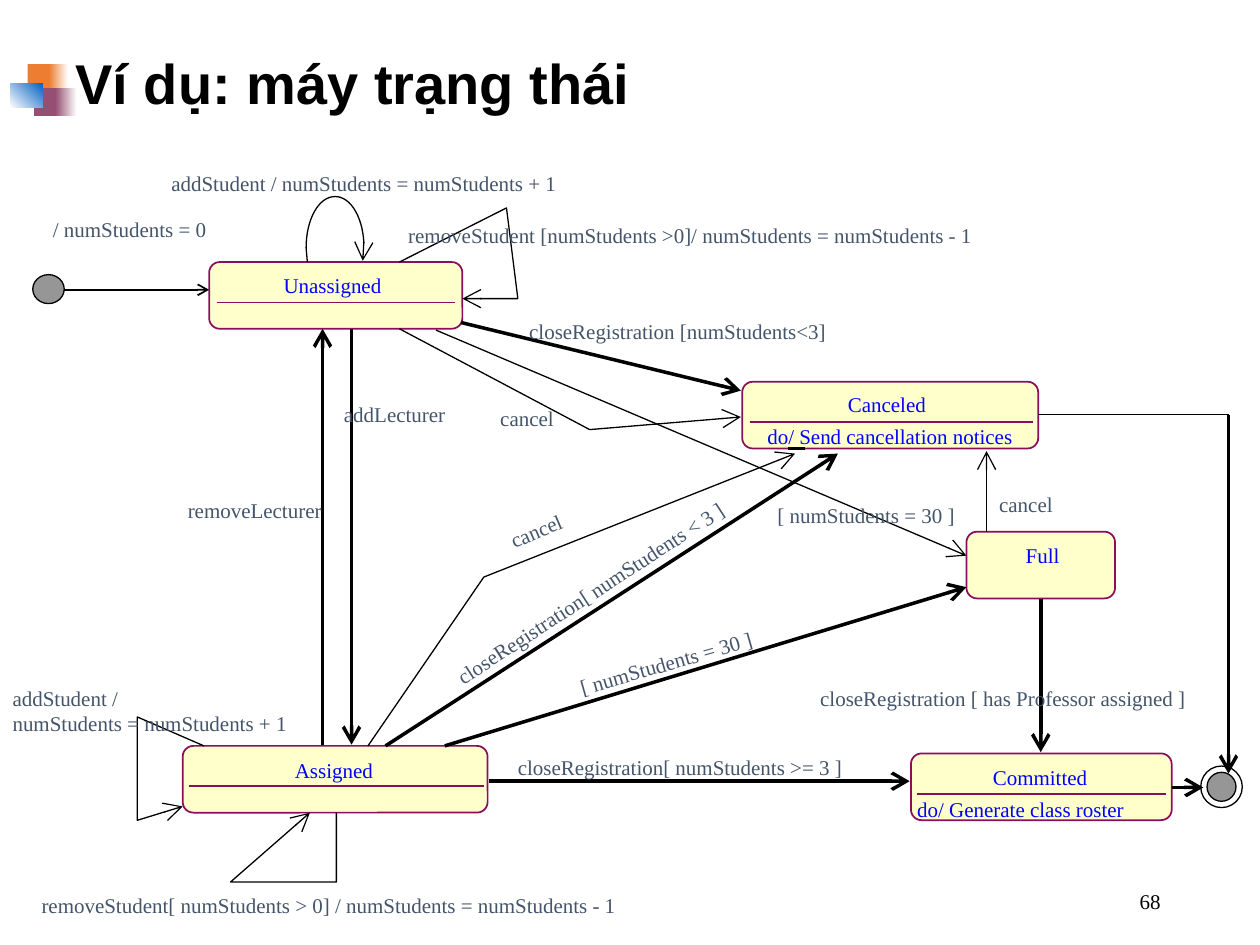
from dataclasses import dataclass
from typing import Optional

from lxml.etree import SubElement
from pptx import Presentation
from pptx.dml.color import RGBColor as RGB
from pptx.enum.shapes import MSO_CONNECTOR as CONN, MSO_SHAPE as SHAPE
from pptx.enum.text import MSO_ANCHOR as ANCHOR, MSO_AUTO_SIZE as AUTO, PP_ALIGN as ALIGN
from pptx.oxml.ns import qn
from pptx.util import Inches, Pt

Point = tuple[float, float]


@dataclass(frozen=True)
class Theme:
    ink: str = "000000"
    label: str = "44546A"
    state_text: str = "0000FF"
    state_fill: str = "FFFFCC"
    state_line: str = "8A0E5E"
    node: str = "969696"
    white: str = "FFFFFF"
    orange: str = "ED7D31"
    plum: str = "954F72"
    blue: str = "0563C1"
    title_font: str = "Arial"
    body_font: str = "Times New Roman"
    title_size: int = 32
    body_size: int = 12


@dataclass(frozen=True)
class Block:
    x: float
    y: float
    w: float
    h: float
    start: str
    end: Optional[str] = None
    angle: int = 0


@dataclass(frozen=True)
class Label:
    text: str
    x: float
    y: float
    w: float
    rotation: float = 0
    h: float = 0.2


@dataclass(frozen=True)
class State:
    name: Label
    x: float
    y: float
    w: float
    rule: Optional[tuple[float, float]] = None
    action: Optional[Label] = None


@dataclass(frozen=True)
class Transition:
    points: list[Point]
    width: float = 0
    head: str = "lg"


T = Theme()
STATE_H = 0.53
RULE_DY = 0.32


def bezier(a: Point, b: Point, c: Point, d: Point, steps: int = 16) -> list[Point]:
    def at(t: float, i: int) -> float:
        u = 1 - t
        return u**3 * a[i] + 3 * u * u * t * b[i] + 3 * u * t * t * c[i] + t**3 * d[i]

    return [(at(k / steps, 0), at(k / steps, 1)) for k in range(steps + 1)]


LOOP = [
    (2.44, 2.08),
    *bezier((2.43, 1.97), (2.43, 1.74), (2.53, 1.56), (2.66, 1.56)),
    *bezier((2.66, 1.56), (2.79, 1.56), (2.89, 1.74), (2.89, 1.97))[1:],
    (2.88, 2.07),
]

BLOCKS = [
    Block(0.22, 0.51, 0.2, 0.22, T.orange),
    Block(0.39, 0.51, 0.15, 0.22, T.orange, T.white),
    Block(0.27, 0.7, 0.19, 0.22, T.plum),
    Block(0.44, 0.7, 0.17, 0.22, T.plum, T.white),
    Block(0.08, 0.66, 0.26, 0.19, T.white, T.blue, 45),
]

STATES = [
    State(Label("Unassigned", 2.25, 2.16, 0.78), 1.66, 2.08, 2.01, (1.72, 3.61)),
    State(Label("Assigned", 2.34, 6.01, 0.65), 1.45, 5.92, 2.42, (1.5, 3.84)),
    State(Label("Full", 8.14, 4.31, 0.27), 7.67, 4.22, 1.18),
    State(Label("Canceled", 6.73, 3.11, 0.63), 5.89, 3.03, 2.35, (5.95, 8.2),
          Label("do/ Send cancellation notices", 6.09, 3.36, 1.97)),
    State(Label("Committed", 7.88, 6.07, 0.76), 7.23, 5.98, 2.07, (7.28, 9.25),
          Label("do/ Generate class roster", 7.28, 6.32, 1.66)),
]

TRANSITIONS = [
    Transition([(9.3, 6.25), (9.55, 6.25)]),
    Transition([(9.75, 3.29), (9.75, 6.14)]),
    Transition([(8.26, 4.75), (8.26, 5.97)]),
    Transition(LOOP),
    Transition([(2.79, 2.61), (2.79, 5.91)]),
    Transition([(3.66, 2.56), (5.88, 3.1)]),
    Transition([(3.17, 2.08), (4.02, 1.65), (4.11, 2.37), (3.67, 2.37)]),
    Transition([(3.17, 2.61), (4.68, 3.41), (5.88, 3.31)]),
    Transition([(2.56, 5.91), (2.56, 2.61)]),
    Transition([(3.53, 5.92), (7.67, 4.66)]),
    Transition([(3.06, 5.92), (6.65, 3.6)]),
    Transition([(3.88, 6.2), (7.22, 6.2)]),
    Transition([(1.62, 5.92), (1.09, 5.69), (1.09, 6.51), (1.45, 6.4)]),
    Transition([(2.92, 5.92), (3.84, 4.58), (6.31, 3.6)]),
    Transition([(2.67, 6.45), (2.67, 7), (1.83, 7), (2.46, 6.45)]),
    Transition([(6.39, 3.56), (6.25, 3.56)], head=""),
    Transition([(3.46, 2.62), (7.67, 4.41)], 0.75),
    Transition([(7.83, 4.22), (7.83, 3.58)], 0.75),
    Transition([(0.51, 2.3), (1.66, 2.3)], 1, "med"),
    Transition([(8.24, 3.29), (9.75, 3.29)], 0.75, ""),
]

LABELS = [
    Label("addStudent / numStudents = numStudents + 1", 1.36, 1.35, 3.42),
    Label("closeRegistration [ has Professor assigned ]", 6.51, 5.44, 3.24),
    Label("/ numStudents = 0", 0.42, 1.72, 1.36),
    Label("addLecturer", 2.73, 3.19, 0.82),
    Label("closeRegistration [numStudents<3]", 4.2, 2.53, 2.39),
    Label("removeStudent [numStudents >0]/ numStudents = numStudents - 1", 3.24, 1.77, 4.97),
    Label("cancel", 3.97, 3.22, 0.48),
    Label("removeLecturer", 1.49, 3.95, 1.08),
    Label("[ numStudents = 30 ]", 4.58, 5.16, 1.42, 344.1),
    Label("closeRegistration[ numStudents < 3 ]", 3.44, 4.6, 2.51, 327),
    Label("closeRegistration[ numStudents >= 3 ]", 4.11, 5.99, 2.82),
    Label("addStudent /\nnumStudents = numStudents + 1", 0.1, 5.44, 2.43, h=0.4),
    Label("cancel", 4.04, 4.1, 0.48, 336.9),
    Label("removeStudent[ numStudents > 0] / numStudents = numStudents - 1", 0.33, 7.08, 5.06),
    Label("[ numStudents = 30 ]", 6.17, 3.99, 1.42),
    Label("cancel", 7.93, 3.9, 0.48),
]


def add_block(shapes, kind, x: float, y: float, w: float, h: float,
              fill: Optional[str] = None, line: Optional[str] = None, width: float = 0):
    s = shapes.add_shape(kind, Inches(x), Inches(y), Inches(w), Inches(h))
    s.shadow.inherit = False
    if fill:
        s.fill.solid()
        s.fill.fore_color.rgb = RGB.from_string(fill)
    else:
        s.fill.background()
    if line:
        s.line.color.rgb = RGB.from_string(line)
        s.line.width = Pt(width)
    else:
        s.line.fill.background()
    return s


def add_ornament(shapes, b: Block) -> None:
    s = add_block(shapes, SHAPE.RECTANGLE, b.x, b.y, b.w, b.h, b.start)
    if b.end:
        s.fill.gradient()
        s.fill.gradient_angle = b.angle
        for stop, color, pos in zip(s.fill.gradient_stops, (b.start, b.end), (0, 1)):
            stop.color.rgb = RGB.from_string(color)
            stop.position = pos


def format_text(tf, color: str, size: int, font: str, bold: bool = False) -> None:
    for p in tf.paragraphs:
        for r in p.runs:
            r.font.size, r.font.name, r.font.bold = Pt(size), font, bold
            r.font.color.rgb = RGB.from_string(color)


def add_label(shapes, label: Label, color: str = T.label) -> None:
    s = shapes.add_textbox(Inches(label.x), Inches(label.y), Inches(label.w), Inches(label.h))
    s.rotation = label.rotation
    tf = s.text_frame
    tf.margin_left = tf.margin_right = tf.margin_top = tf.margin_bottom = 0
    tf.word_wrap = False
    tf.auto_size = AUTO.SHAPE_TO_FIT_TEXT
    tf.text = label.text
    format_text(tf, color, T.body_size, T.body_font)


def add_path(shapes, t: Transition, color: str = T.ink) -> None:
    pts = [(Inches(x), Inches(y)) for x, y in t.points]
    if len(pts) == 2:
        s = shapes.add_connector(CONN.STRAIGHT, *pts[0], *pts[1])
    else:
        fb = shapes.build_freeform(*pts[0])
        fb.add_line_segments(pts[1:], close=False)
        s = fb.convert_to_shape()
        s.fill.background()
    s.line.color.rgb = RGB.from_string(color)
    s.line.width = Pt(t.width)
    if t.head:
        SubElement(s.line._get_or_add_ln(), qn("a:tailEnd"), type="arrow", w=t.head, len=t.head)
    SubElement(s._element.spPr, qn("a:effectLst"))


def add_state(shapes, st: State) -> None:
    s = add_block(shapes, SHAPE.ROUNDED_RECTANGLE, st.x, st.y, st.w, STATE_H,
                  T.state_fill, T.state_line, 1)
    s.adjustments[0] = 0.16
    add_label(shapes, st.name, T.state_text)
    if st.rule:
        y = st.y + RULE_DY
        add_path(shapes, Transition([(x, y) for x in st.rule], 1, ""), T.state_line)
    if st.action:
        add_label(shapes, st.action, T.state_text)


def add_title(s) -> None:
    s.left, s.top, s.width, s.height = Inches(0.5), Inches(0.25), Inches(9), Inches(0.87)
    tf = s.text_frame
    tf.text = "Ví dụ: máy trạng thái"
    tf.vertical_anchor = ANCHOR.MIDDLE
    p = tf.paragraphs[0]
    p.alignment, p.line_spacing = ALIGN.LEFT, 0.9
    format_text(tf, T.ink, T.title_size, T.title_font, True)


def add_page_number(shapes) -> None:
    tf = shapes.add_textbox(Inches(7.06), Inches(6.95), Inches(2.25), Inches(0.4)).text_frame
    tf.word_wrap = True
    tf.vertical_anchor = ANCHOR.MIDDLE
    tf.text = "68"
    tf.paragraphs[0].alignment = ALIGN.RIGHT
    format_text(tf, T.ink, T.body_size, T.body_font)


def main() -> None:
    prs = Presentation()
    prs.slide_width, prs.slide_height = Inches(10), Inches(7.5)
    shapes = prs.slides.add_slide(prs.slide_layouts[5]).shapes
    for b in BLOCKS:
        add_ornament(shapes, b)
    add_title(shapes.title)
    add_page_number(shapes)
    add_block(shapes, SHAPE.OVAL, 0.26, 2.18, 0.25, 0.23, T.node, T.ink)
    add_block(shapes, SHAPE.OVAL, 9.53, 6.08, 0.33, 0.33, None, T.ink)
    add_block(shapes, SHAPE.OVAL, 9.58, 6.13, 0.23, 0.23, T.node, T.ink)
    for st in STATES:
        add_state(shapes, st)
    for t in TRANSITIONS:
        add_path(shapes, t)
    for label in LABELS:
        add_label(shapes, label)
    prs.save("out.pptx")


if __name__ == "__main__":
    main()
